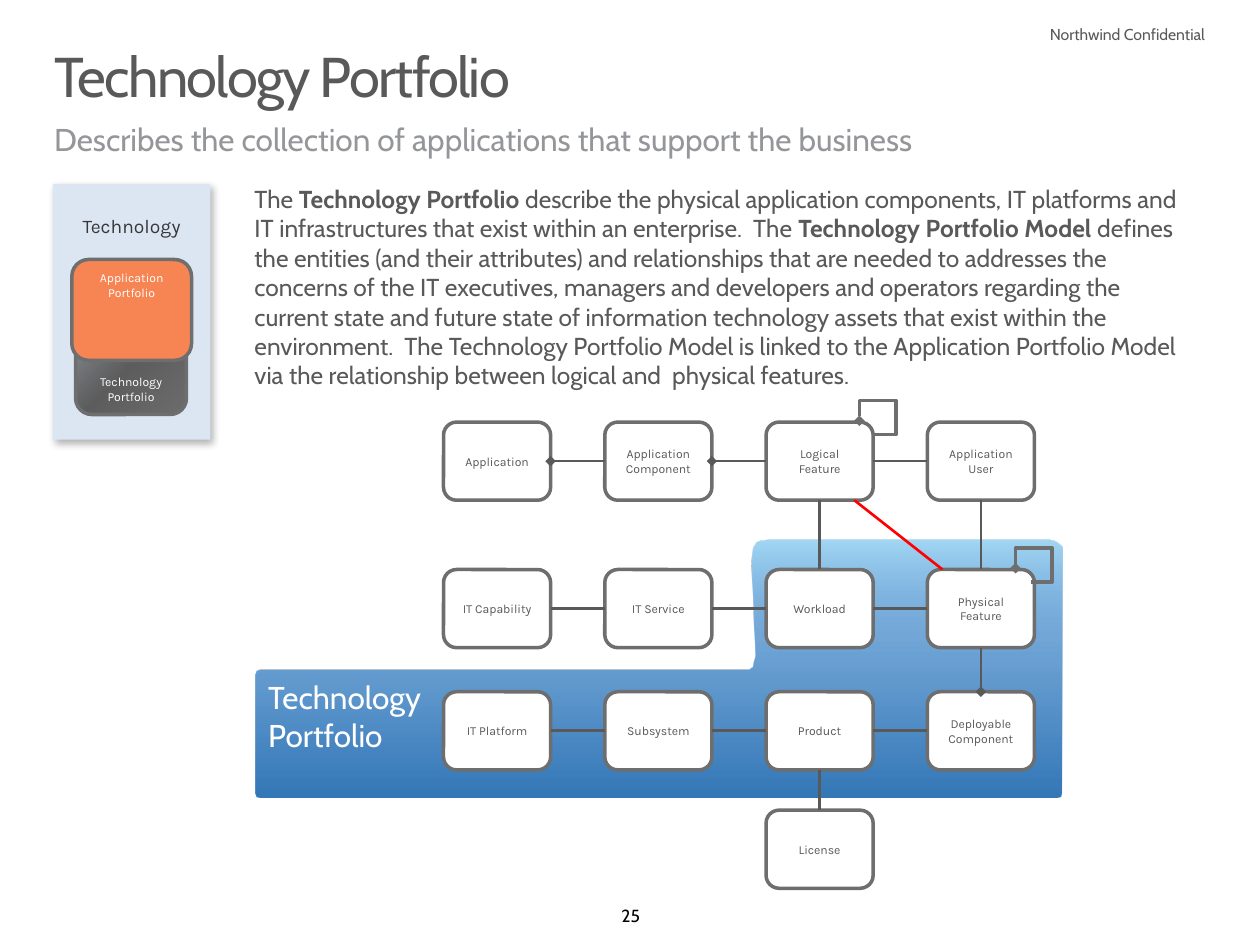
from dataclasses import dataclass
from typing import Optional

from lxml import etree
from pptx import Presentation, util as u
from pptx.dml import color
from pptx.enum import shapes, text
from pptx.oxml import ns

INK, EDGE, WHITE = "595959", "6E6E6E", "FFFFFF"
LEFT, CENTER, RIGHT = text.PP_ALIGN.LEFT, text.PP_ALIGN.CENTER, text.PP_ALIGN.RIGHT
TOP, MIDDLE, BOTTOM = text.MSO_ANCHOR.TOP, text.MSO_ANCHOR.MIDDLE, text.MSO_ANCHOR.BOTTOM
SIDE_TOP, SIDE_LEFT, SIDE_BOTTOM, SIDE_RIGHT = range(4)
BOX_W, BOX_H = 0.85, 0.62
GRID_LEFT, COLUMN_STEP = 3.52, 1.28
ROW_TOPS = [3.35, 4.52, 5.49, 6.43]


@dataclass
class Entity:
    """A model entity at a grid column and row."""
    label: str
    column: int
    row: int


@dataclass
class Relation:
    """A link between two entity sides, with an optional diamond at its start."""
    start: str
    start_side: int
    end: str
    end_side: int
    diamond: bool = False


@dataclass
class Style:
    """Look and placement of a text."""
    size: float
    font: str = "Cabin"
    ink: str = INK
    align: text.PP_ALIGN = LEFT
    anchor: text.MSO_ANCHOR = TOP
    insets: tuple = (0.1, 0.05, 0.1, 0.05)


ENTITIES = [
    Entity("Application", 0, 0), Entity("Application Component", 1, 0),
    Entity("Logical Feature", 2, 0), Entity("Application User", 3, 0),
    Entity("IT Capability", 0, 1), Entity("IT Service", 1, 1),
    Entity("Workload", 2, 1), Entity("Physical Feature", 3, 1),
    Entity("IT Platform", 0, 2), Entity("Subsystem", 1, 2),
    Entity("Product", 2, 2), Entity("Deployable\nComponent", 3, 2),
    Entity("License", 2, 3),
]
RELATIONS = [
    Relation("Application", SIDE_RIGHT, "Application Component", SIDE_LEFT, True),
    Relation("Application Component", SIDE_RIGHT, "Logical Feature", SIDE_LEFT, True),
    Relation("Logical Feature", SIDE_RIGHT, "Application User", SIDE_LEFT),
    Relation("IT Capability", SIDE_RIGHT, "IT Service", SIDE_LEFT),
    Relation("IT Service", SIDE_RIGHT, "Workload", SIDE_LEFT),
    Relation("Workload", SIDE_RIGHT, "Physical Feature", SIDE_LEFT),
    Relation("IT Platform", SIDE_RIGHT, "Subsystem", SIDE_LEFT),
    Relation("Subsystem", SIDE_RIGHT, "Product", SIDE_LEFT),
    Relation("Product", SIDE_RIGHT, "Deployable\nComponent", SIDE_LEFT),
    Relation("Logical Feature", SIDE_BOTTOM, "Workload", SIDE_TOP),
    Relation("Application User", SIDE_BOTTOM, "Physical Feature", SIDE_TOP),
    Relation("Deployable\nComponent", SIDE_TOP, "Physical Feature", SIDE_BOTTOM, True),
    Relation("Product", SIDE_BOTTOM, "License", SIDE_TOP),
]
PORTFOLIO_OUTLINE = [
    (2.03, 5.35), (2.04, 5.32), (2.07, 5.31), (5.84, 5.31), (5.94, 5.31), (5.97, 5.29),
    (5.99, 5.2), (5.96, 4.47), (5.97, 4.35), (6, 4.3), (6.09, 4.28), (8.32, 4.28),
    (8.38, 4.3), (8.43, 4.34), (8.42, 6.29), (8.41, 6.32), (8.38, 6.33), (2.07, 6.33),
    (2.04, 6.32), (2.03, 6.29),
]
LOOP_OUTLINE = [(0, 0.16), (0, 0), (0.29, 0), (0.29, 0.27), (0.12, 0.27)]
DESCRIPTION = [
    ("The ", False), ("Technology Portfolio ", True),
    ("describe the physical application components, IT platforms and IT infrastructures "
     "that exist within an enterprise.  The ", False),
    ("Technology Portfolio Model ", True),
    ("defines the entities (and their attributes) and relationships that are needed to "
     "addresses the concerns of the IT executives, managers and developers and operators "
     "regarding the current state and future state of information technology assets that "
     "exist within the environment.  The Technology Portfolio Model is linked to the "
     "Application Portfolio Model via the relationship between logical and  physical "
     "features.", False),
]


def rgb(value: str) -> color.RGBColor:
    """Turn a hex string into a colour."""
    return color.RGBColor.from_string(value)


def add_node(parent, tag: str, **attributes):
    """Append a DrawingML element and return it."""
    return etree.SubElement(parent, ns.qn(f"a:{tag}"), attributes)


def write(shape, paragraphs: list, style: Style) -> None:
    """Fill a shape with paragraphs made of (words, bold) runs."""
    frame = shape.text_frame
    frame.word_wrap, frame.auto_size = True, text.MSO_AUTO_SIZE.NONE
    frame.vertical_anchor = style.anchor
    (frame.margin_left, frame.margin_top,
     frame.margin_right, frame.margin_bottom) = map(u.Inches, style.insets)
    for index, runs in enumerate(paragraphs):
        paragraph = frame.add_paragraph() if index else frame.paragraphs[0]
        paragraph.alignment = style.align
        paragraph.space_before = u.Pt(0)
        for words, bold in runs:
            run = paragraph.add_run()
            run.text = words
            run.font.size, run.font.name = u.Pt(style.size), style.font
            run.font.bold = bold
            run.font.color.rgb = rgb(style.ink)


def plain(words: str) -> list:
    """Make one regular paragraph of each line."""
    return [[(line, False)] for line in words.split("\n")]


def place(shape, *box: float) -> None:
    """Move and size a shape in inches."""
    shape.left, shape.top, shape.width, shape.height = map(u.Inches, box)


def add_text(slide, box: tuple, paragraphs: list, style: Style) -> None:
    """Add a text box."""
    write(slide.shapes.add_textbox(*map(u.Inches, box)), paragraphs, style)


def add_box(slide, box: tuple, fill: str, words: str, style: Style,
            edge: Optional[str] = EDGE, preset=shapes.MSO_SHAPE.ROUNDED_RECTANGLE):
    """Add a filled box with its label."""
    shape = slide.shapes.add_shape(preset, *map(u.Inches, box))
    shape.shadow.inherit = False
    shape.fill.solid()
    shape.fill.fore_color.rgb = rgb(fill)
    if edge:
        shape.line.color.rgb, shape.line.width = rgb(edge), u.Pt(2)
    else:
        shape.line.fill.background()
    write(shape, plain(words), style)
    return shape


def add_gradient(shape, stops: list, angle: float) -> None:
    """Fill a shape with (position, colour, opacity) stops."""
    shape.fill.gradient()
    shape.fill.gradient_angle = angle
    stop_list = shape.element.spPr.find(ns.qn("a:gradFill")).find(ns.qn("a:gsLst"))
    for stop in list(stop_list):
        stop_list.remove(stop)
    for position, value, opacity in stops:
        stop = add_node(stop_list, "gs", pos=str(position * 1000))
        tint = add_node(stop, "srgbClr", val=value)
        if opacity < 100:
            add_node(tint, "alpha", val=str(opacity * 1000))


def add_outline(slide, points: list, closed: bool):
    """Draw a freeform through points in inches."""
    start, *others = [(u.Inches(x), u.Inches(y)) for x, y in points]
    builder = slide.shapes.build_freeform(*start)
    builder.add_line_segments(others, close=closed)
    shape = builder.convert_to_shape()
    shape.shadow.inherit = False
    return shape


def add_diamond(shape) -> None:
    """Put a diamond at the start of a line."""
    add_node(shape.line._get_or_add_ln(), "headEnd", type="diamond")


def add_line(slide, ink: str = INK, ends: tuple = (0, 0, 0, 0)):
    """Add a straight connector without shadow."""
    line = slide.shapes.add_connector(shapes.MSO_CONNECTOR.STRAIGHT, *map(u.Inches, ends))
    line.line.color.rgb, line.line.width = rgb(ink), u.Pt(1.5)
    add_node(line.element.spPr, "effectLst")
    return line


def add_headings(slide) -> None:
    """Fill the title and the subtitle placeholders."""
    title, subtitle = slide.shapes.title, slide.placeholders[1]
    place(title, 0.43, 0.39, 9.15, 0.56)
    write(title, plain("Technology Portfolio"), Style(32, insets=(0, 0, 0, 0)))
    heading = title.text_frame.paragraphs[0]
    heading.line_spacing = 0.9
    heading.runs[0]._r.get_or_add_rPr().set("spc", "-100")
    place(subtitle, 0.43, 0.95, 9.13, 0.3)
    properties = subtitle.text_frame.paragraphs[0]._p.get_or_add_pPr()
    properties.set("marL", "0")
    properties.set("indent", "0")
    add_node(properties, "buNone")
    write(subtitle, plain("Describes the collection of applications that support the business"),
          Style(18, ink="949699", anchor=BOTTOM, insets=(0, 0, 0, 0)))


def add_layers(slide) -> None:
    """Draw the side panel with its two portfolio layers."""
    panel = add_box(slide, (0.42, 1.46, 1.25, 2.03), "DCE6F2", "Technology",
                    Style(11, "Karla", "373737", CENTER, insets=(0.1, 0.24, 0.1, 0.05)),
                    None, shapes.MSO_SHAPE.RECTANGLE)
    shadow = add_node(panel.element.spPr.find(ns.qn("a:effectLst")), "outerShdw",
                      blurRad=str(u.Pt(4.5)), dist=str(u.Pt(2.6)), dir=str(53 * 60000),
                      algn="tl", rotWithShape="0")
    add_node(add_node(shadow, "srgbClr", val="000000"), "alpha", val="30000")
    technology = add_box(slide, (0.6, 2.52, 0.88, 0.77), EDGE, "Technology\nPortfolio",
                         Style(7, "Karla", WHITE, CENTER, BOTTOM))
    add_gradient(technology, [(0, "414141", 46), (50, "5D5D5D", 100), (100, EDGE, 100)], 315)
    add_box(slide, (0.57, 2.06, 0.95, 0.8), "F78553", "Application Portfolio",
            Style(7, "Karla", WHITE, CENTER))


def add_model(slide) -> None:
    """Draw the entity model on its portfolio area."""
    area = add_outline(slide, PORTFOLIO_OUTLINE, True)
    add_gradient(area, [(0, "3477B6", 100), (63, "3B83C7", 71), (100, "A4D7F4", 100)], 90)
    area.line.fill.background()
    write(area, plain("Technology\nPortfolio"),
          Style(18, ink=WHITE, anchor=BOTTOM, insets=(0.1, 0.05, 0.1, 0.35)))
    label = Style(7, "Karla", INK, CENTER, MIDDLE)
    boxes = {}
    for entity in ENTITIES:
        box = (GRID_LEFT + COLUMN_STEP * entity.column, ROW_TOPS[entity.row], BOX_W, BOX_H)
        boxes[entity.label] = add_box(slide, box, WHITE, entity.label, label)
    for relation in RELATIONS:
        line = add_line(slide)
        line.begin_connect(boxes[relation.start], relation.start_side)
        line.end_connect(boxes[relation.end], relation.end_side)
        if relation.diamond:
            add_diamond(line)
    add_line(slide, "FF0000", (6.78, 3.97, 7.48, 4.52))
    for left, top in [(6.82, 3.18), (8.06, 4.35)]:
        loop = add_outline(slide, [(left + x, top + y) for x, y in LOOP_OUTLINE], False)
        loop.fill.background()
        loop.line.color.rgb, loop.line.width = rgb(EDGE), u.Pt(2)
        add_diamond(loop)


def main() -> None:
    """Build and save the slide."""
    deck = Presentation()
    deck.slide_width, deck.slide_height = u.Inches(10), u.Inches(7.5)
    slide = deck.slides.add_slide(deck.slide_layouts[1])
    add_headings(slide)
    add_text(slide, (4.75, 7.13, 0.51, 0.27), plain("25"), Style(10, ink="000000", align=CENTER))
    add_text(slide, (8.02, 0.15, 1.64, 0.25), plain("Northwind Confidential"),
             Style(9, align=RIGHT))
    add_text(slide, (2.02, 1.46, 7.4, 1.65), [DESCRIPTION], Style(14, insets=(0, 0, 0, 0)))
    add_model(slide)
    add_layers(slide)
    deck.save("out.pptx")


if __name__ == "__main__":
    main()
